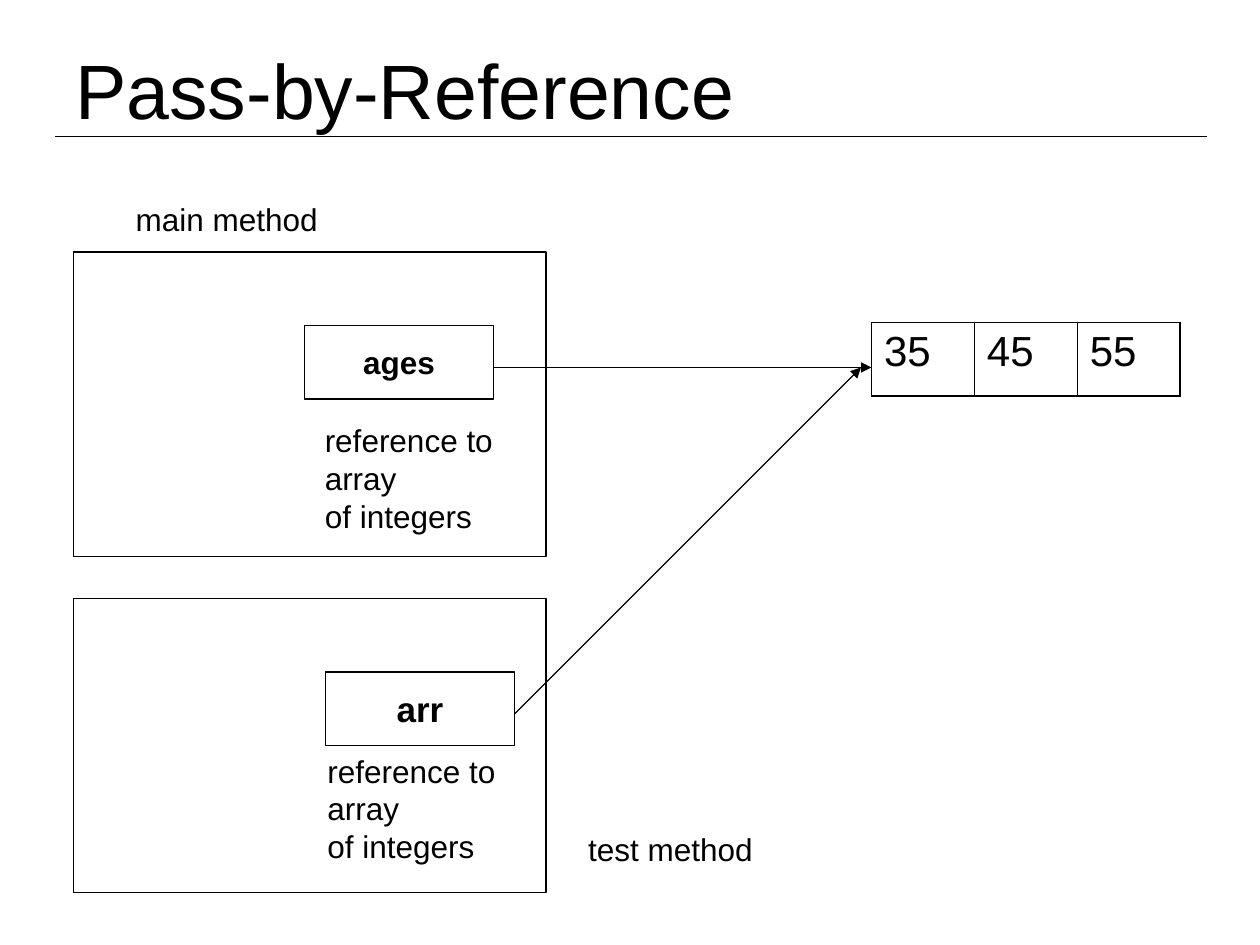
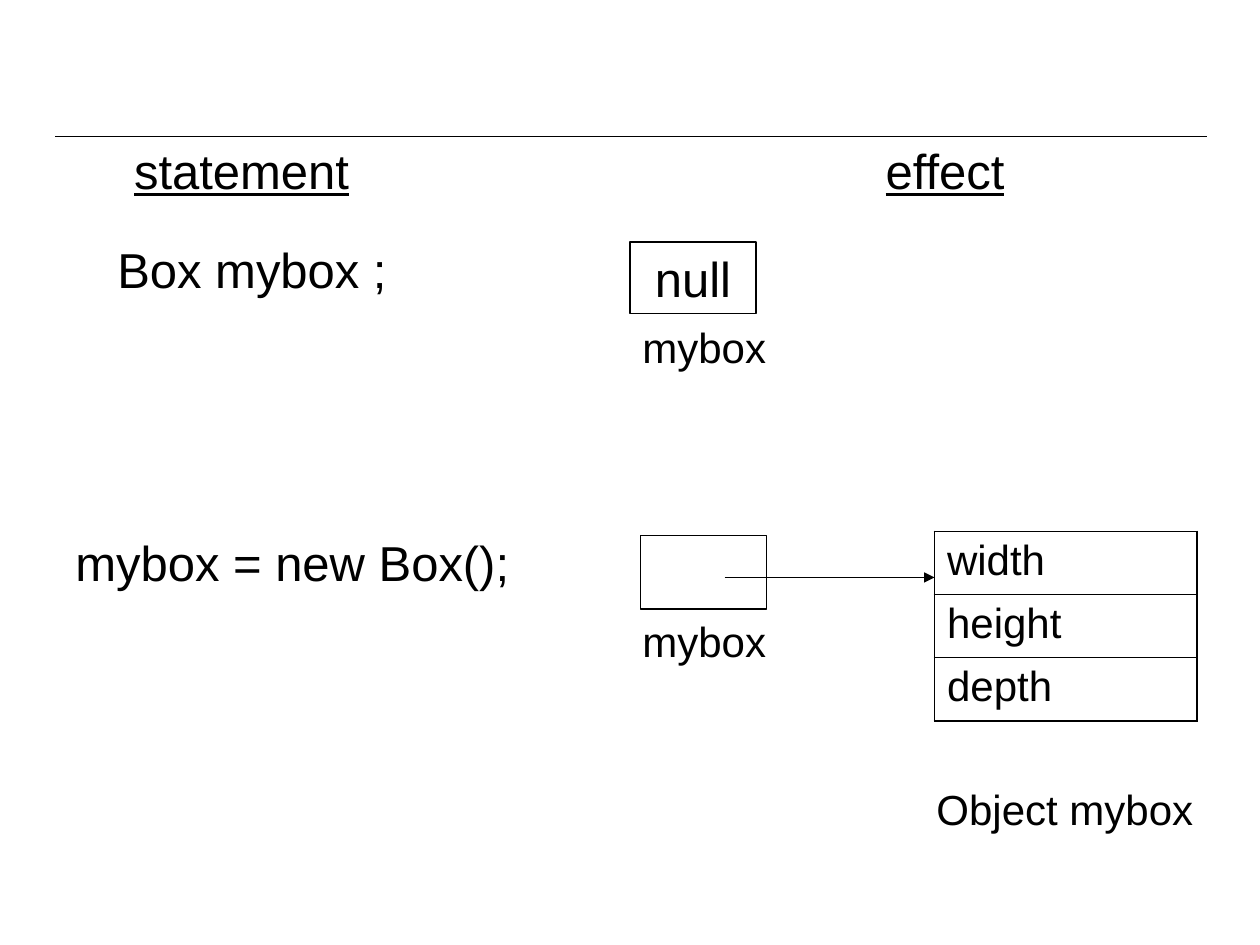
import dataclasses
import lxml.etree
import pptx
import pptx.dml.color
import pptx.enum.shapes
import pptx.enum.text
import pptx.oxml.ns
import pptx.util

Pt = pptx.util.Pt
qn = pptx.oxml.ns.qn
ALIGN = pptx.enum.text.PP_ALIGN
ANCHOR = pptx.enum.text.MSO_ANCHOR


@dataclasses.dataclass(frozen=True)
class Theme:
    ink: str = "000000"
    font: str = "Arial"
    title: int = 44
    head: int = 28
    cell: int = 24
    name: int = 20
    note: int = 18
    line: float = 0.75
    outer: float = 1.08
    inner: float = 0.45


THEME = Theme()
PAGE = (720, 540)
RULE = (31.5, 78, 690, 78)
TITLE = (36, 21.5, 648, 57)
REF = "reference to\narray\nof integers"

# Boxes and texts: words, (left, top, width, height), style
# Arrows: (x1, y1, x2, y2); grid: rows, (left, top), (cell width, height)
SLIDES = [
    {
        "title": "Pass-by-Reference",
        "boxes": [
            ("", (42, 144, 270, 174), {}),
            ("ages", (174, 186, 108, 42), {"size": THEME.note, "bold": True}),
            ("", (42, 342, 270, 168), {}),
            ("arr", (186, 384, 108, 42), {"size": THEME.name, "bold": True}),
        ],
        "texts": [
            ("main method", (70.5, 111, 122, 29), {"size": THEME.note}),
            (REF, (178.5, 237, 115, 72), {"size": THEME.note}),
            (REF, (180, 426, 115, 72), {"size": THEME.note}),
            ("test method", (329, 471, 112, 29), {"size": THEME.note}),
        ],
        "grid": ([["35", "45", "55"]], (498, 184.25), (58.8, 42)),
        "arrows": [(282, 210, 498, 210), (294, 408, 492, 210)],
    },
    {
        "title": "",
        "boxes": [
            ("null", (360, 138.25, 72, 41), {"size": THEME.head}),
            ("", (366, 306, 72, 42), {}),
        ],
        "texts": [
            ("statement", (42, 76.5, 192, 41),
             {"size": THEME.head, "under": True, "mid": True}),
            ("effect", (474, 76.5, 132, 41),
             {"size": THEME.head, "under": True, "mid": True}),
            ("Box mybox ;", (48, 133.25, 192, 41),
             {"size": THEME.head, "mid": True}),
            ("mybox = new Box();", (36, 301, 270, 41), {"size": THEME.head}),
            ("mybox", (360, 180, 88, 36), {"size": THEME.cell}),
            ("mybox", (360, 348, 88, 36), {"size": THEME.cell}),
            ("Object mybox", (528, 444, 165, 36), {"size": THEME.cell}),
        ],
        "grid": ([["width"], ["height"], ["depth"]], (534, 303.75), (150, 36)),
        "arrows": [(414, 330, 534, 330)],
    },
]


def tone():
    return pptx.dml.color.RGBColor.from_string(THEME.ink)


def pts(nums):
    return [Pt(num) for num in nums]


def write(frame, words, size, bold=False, under=False, mid=False):
    frame.text = words
    for para in frame.paragraphs:
        para.alignment = ALIGN.CENTER if mid else ALIGN.LEFT
        for run in para.runs:
            font = run.font
            font.name, font.size = THEME.font, Pt(size)
            font.bold, font.underline = bold, under
            font.color.rgb = tone()


def stroke(line):
    line.color.rgb = tone()
    line.width = Pt(THEME.line)


def add_text(slide, words, area, style):
    frame = slide.shapes.add_textbox(*pts(area)).text_frame
    frame.word_wrap = True
    write(frame, words, **style)
    return frame


def add_box(slide, words, area, style):
    kind = pptx.enum.shapes.MSO_SHAPE.RECTANGLE
    shape = slide.shapes.add_shape(kind, *pts(area))
    shape.shadow.inherit = False
    shape.fill.background()
    stroke(shape.line)
    if words:
        frame = shape.text_frame
        frame.word_wrap = True
        frame.vertical_anchor = ANCHOR.MIDDLE
        write(frame, words, mid=True, **style)


def add_line(slide, ends, arrow=False):
    kind = pptx.enum.shapes.MSO_CONNECTOR.STRAIGHT
    line = slide.shapes.add_connector(kind, *pts(ends))
    stroke(line.line)
    props = line._element.spPr
    if arrow:
        lxml.etree.SubElement(props.find(qn("a:ln")), qn("a:tailEnd"),
                              type="triangle")
    lxml.etree.SubElement(props, qn("a:effectLst"))


def edge(cell, side, width):
    line = lxml.etree.SubElement(cell._tc.get_or_add_tcPr(),
                                 qn("a:ln" + side), w=str(Pt(width)))
    fill = lxml.etree.SubElement(line, qn("a:solidFill"))
    lxml.etree.SubElement(fill, qn("a:srgbClr"), val=THEME.ink)


def add_grid(slide, rows, spot, step):
    high, wide = len(rows), len(rows[0])
    area = (*spot, wide * step[0], high * step[1])
    table = slide.shapes.add_table(high, wide, *pts(area)).table
    table.first_row = table.horz_banding = False
    for y, row in enumerate(rows):
        for x, words in enumerate(row):
            cell = table.cell(y, x)
            write(cell.text_frame, words, THEME.cell)
            # Heavy lines outside, thin lines between cells
            rims = {"L": x == 0, "R": x == wide - 1,
                    "T": y == 0, "B": y == high - 1}
            for side, rim in rims.items():
                edge(cell, side, THEME.outer if rim else THEME.inner)
            cell.fill.background()


def add_title(slide, words):
    frame = add_text(slide, words, TITLE, {"size": THEME.title})
    frame.vertical_anchor = ANCHOR.BOTTOM
    frame.margin_bottom = Pt(1.5)


def main():
    deck = pptx.Presentation()
    deck.slide_width, deck.slide_height = pts(PAGE)
    for page in SLIDES:
        slide = deck.slides.add_slide(deck.slide_layouts[6])
        add_line(slide, RULE)
        if page["title"]:
            add_title(slide, page["title"])
        for box in page["boxes"]:
            add_box(slide, *box)
        for text in page["texts"]:
            add_text(slide, *text)
        add_grid(slide, *page["grid"])
        for ends in page["arrows"]:
            add_line(slide, ends, arrow=True)
    deck.save("out.pptx")


if __name__ == "__main__":
    main()
